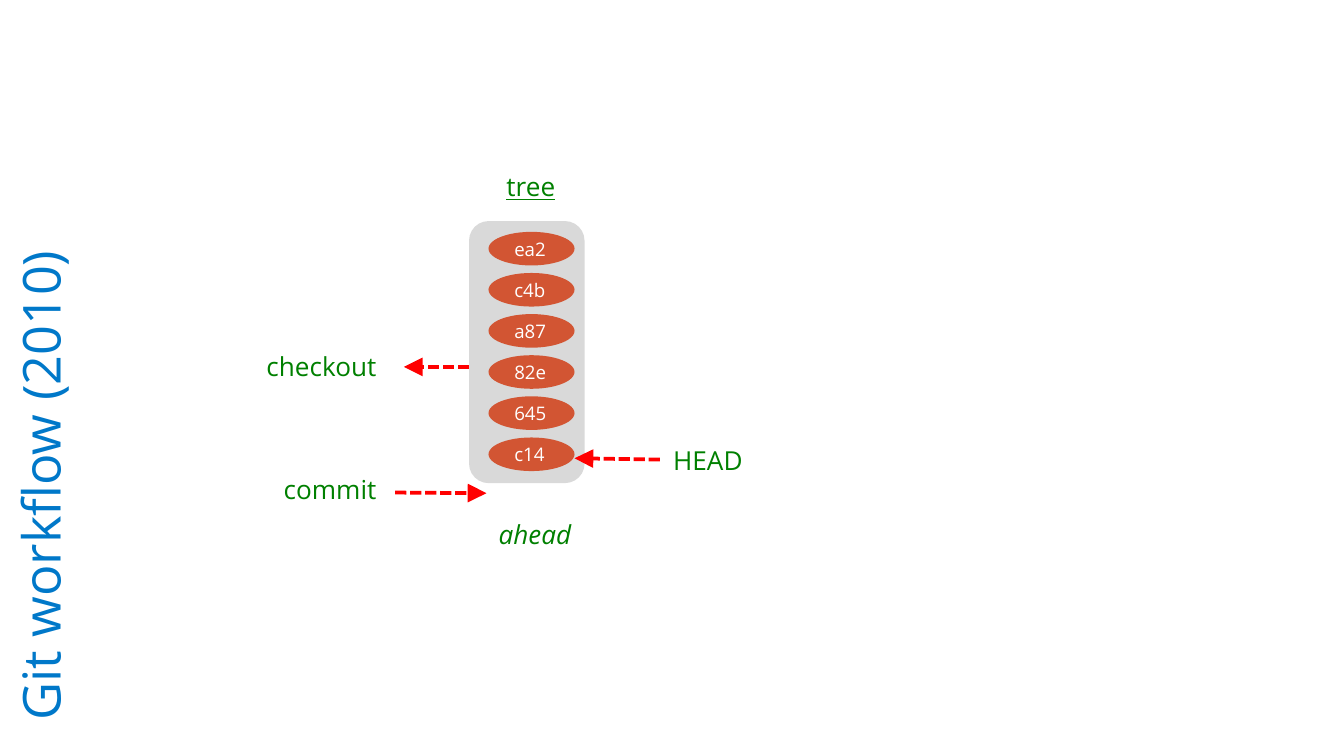
import collections

import pptx
import pptx.dml.color
import pptx.enum.dml
import pptx.enum.shapes
import pptx.enum.text
import pptx.util
from pptx.oxml.xmlchemy import OxmlElement

Box = collections.namedtuple("Box", "left top width height")
ALIGN = pptx.enum.text.PP_ALIGN
ANCHOR = pptx.enum.text.MSO_ANCHOR
SHAPE = pptx.enum.shapes.MSO_SHAPE
GREEN = "008000"
COLUMNS = 100
SLIDE_WIDTH = pptx.util.Inches(10)
SLIDE_HEIGHT = SLIDE_WIDTH * 9 // 16
LABEL_HEIGHT = 3.4


def grid(value):
    return round(value * SLIDE_WIDTH / COLUMNS)


def frame(box):
    return [grid(value) for value in box]


def inside(box, left, top, width, height):
    return Box(box.left + left, box.top + top, width, height)


def color(value):
    return pptx.dml.color.RGBColor.from_string(value)


def write(shape, text, size, hex_color, alignment=ALIGN.LEFT):
    shape.text_frame.text = text
    shape.text_frame.word_wrap = True
    paragraph = shape.text_frame.paragraphs[0]
    paragraph.alignment = alignment
    font = paragraph.runs[0].font
    font.name = "Open Sans"
    font.size = pptx.util.Pt(size)
    font.color.rgb = color(hex_color)
    return font


def add_filled(slide, kind, box, hex_color):
    shape = slide.shapes.add_shape(kind, *frame(box))
    shape.shadow.inherit = False
    shape.fill.solid()
    shape.fill.fore_color.rgb = color(hex_color)
    shape.line.fill.background()
    return shape


def add_label(slide, box, text, alignment):
    label = slide.shapes.add_textbox(*frame(box))
    font = write(label, text, 14, GREEN, alignment)
    label.text_frame.auto_size = pptx.enum.text.MSO_AUTO_SIZE.SHAPE_TO_FIT_TEXT
    return font


def add_arrow(slide, box, start, end):
    points = [grid(origin + offset) for point in (start, end)
              for origin, offset in zip((box.left, box.top), point)]
    arrow = slide.shapes.add_connector(
        pptx.enum.shapes.MSO_CONNECTOR.STRAIGHT, *points)
    arrow.line.color.rgb = color("FF0000")
    arrow.line.width = pptx.util.Pt(2)
    arrow.line.dash_style = pptx.enum.dml.MSO_LINE.SQUARE_DOT
    tail = OxmlElement("a:tailEnd")
    for name, value in (("type", "triangle"), ("w", "lg"), ("len", "lg")):
        tail.set(name, value)
    arrow.line._get_or_add_ln().append(tail)
    arrow._element.spPr.append(OxmlElement("a:effectLst"))


def format_title(slide, box, text):
    title = slide.shapes.title
    title.left, title.top, title.width, title.height = frame(box)
    title.rotation = 270
    write(title, text, 28, "0078C9")
    text_frame = title.text_frame
    text_frame.auto_size = pptx.enum.text.MSO_AUTO_SIZE.NONE
    text_frame.vertical_anchor = ANCHOR.MIDDLE
    text_frame.margin_left = text_frame.margin_right = 0
    text_frame.margin_top = text_frame.margin_bottom = 0


def add_tree(slide, box, commits):
    panel = add_filled(slide, SHAPE.ROUNDED_RECTANGLE, box, "D9D9D9")
    panel.adjustments[0] = 0.17
    for row, commit in enumerate(commits):
        oval = add_filled(slide, SHAPE.OVAL,
                          inside(box, 1.45, 0.8 + row * 3.06, 6.4, 2.5), "D25533")
        write(oval, commit, 10, "FFFFFF")
        oval.text_frame.vertical_anchor = ANCHOR.MIDDLE

    heading = add_label(slide, inside(box, 0.4, -4.25, 8.4, LABEL_HEIGHT),
                        "tree", ALIGN.CENTER)
    heading.underline = True
    status = add_label(slide, inside(box, 0, 21.65, 9.8, LABEL_HEIGHT),
                       "ahead", ALIGN.CENTER)
    status.italic = True


def add_commands(slide, box):
    commands = [
        ("HEAD", 14.2, 16.1, ALIGN.LEFT, (14.2, 17.75), (7.85, 17.65)),
        ("commit", -22.7, 18.3, ALIGN.RIGHT, (-5.5, 20.2), (1.3, 20.25)),
        ("checkout", -22.7, 9.15, ALIGN.RIGHT, (0, 10.85), (-4.85, 10.85)),
    ]
    for text, left, top, alignment, start, end in commands:
        add_label(slide, inside(box, left, top, 16.8, LABEL_HEIGHT), text, alignment)
        add_arrow(slide, box, start, end)


def main():
    presentation = pptx.Presentation()
    presentation.slide_width = SLIDE_WIDTH
    presentation.slide_height = SLIDE_HEIGHT
    slide = presentation.slides.add_slide(presentation.slide_layouts[5])
    tree = Box(34.9, 16.45, 8.6, 19.5)
    format_title(slide, Box(-22.95, 25.2, 51.8, 5), "Git workflow (2010)")
    add_tree(slide, tree, ["ea2", "c4b", "a87", "82e", "645", "c14"])
    add_commands(slide, tree)
    presentation.save("out.pptx")


if __name__ == "__main__":
    main()
